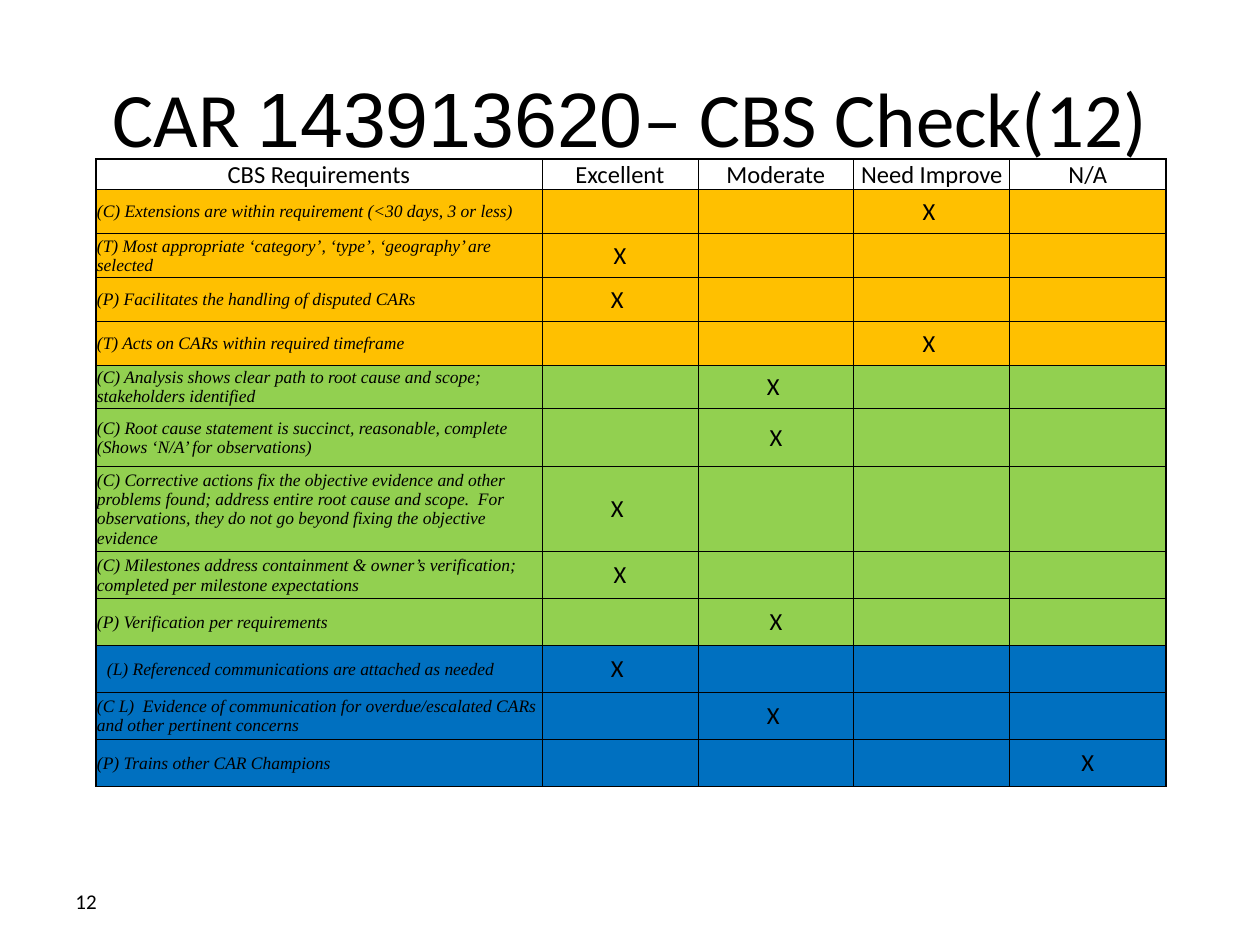
from dataclasses import dataclass

from lxml import etree
from pptx import Presentation
from pptx.dml.color import RGBColor
from pptx.enum import text
from pptx.oxml import ns
from pptx.util import Emu, Pt

EMU_PER_PX = 914400 / 126
BLACK = "000000"
AMBER, GREEN, BLUE = "FFC000", "92D050", "0070C0"
CENTER, LEFT = text.PP_ALIGN.CENTER, text.PP_ALIGN.LEFT
MIDDLE, BOTTOM = text.MSO_ANCHOR.MIDDLE, text.MSO_ANCHOR.BOTTOM
LABEL = {"size": Pt(14), "name": "Calibri", "italic": False}
REQUIREMENT = {"size": Pt(10), "name": "Times New Roman", "italic": True}

# Rating columns
EXCELLENT, MODERATE, IMPROVE, NOT_APPLICABLE = 1, 2, 3, 4
HEADERS = ["CBS Requirements", "Excellent", "Moderate", "Need Improve", "N/A"]
COLUMN_WIDTHS = [446] + [156] * 4
HEADER_HEIGHT = 26


@dataclass
class Check:
    requirement: str
    color: str
    height: int
    rating: int
    mark: str = "X "
    indent: int = 1


CHECKS = [
    Check("(C) Extensions are within requirement (<30 days, 3 or less)", AMBER, 44, IMPROVE),
    Check("(T) Most appropriate ‘category’, ‘type’, ‘geography’ are selected",
          AMBER, 44, EXCELLENT, "X"),
    Check("(P) Facilitates the handling of disputed CARs", AMBER, 44, EXCELLENT),
    Check("(T) Acts on CARs within required timeframe", AMBER, 44, IMPROVE),
    Check("(C) Analysis shows clear path to root cause and scope; stakeholders identified",
          GREEN, 42, MODERATE),
    Check("(C) Root cause statement is succinct, reasonable, complete "
          "(Shows ‘N/A’ for observations)", GREEN, 58, MODERATE, "X"),
    Check("(C) Corrective actions fix the objective evidence and other problems found; "
          "address entire root cause and scope.  For observations, they do not go beyond "
          "fixing the objective evidence", GREEN, 63, EXCELLENT),
    Check("(C) Milestones address containment & owner’s verification; "
          "completed per milestone expectations", GREEN, 47, EXCELLENT, "X"),
    Check("(P) Verification per requirements", GREEN, 47, MODERATE, " X "),
    Check("(L) Referenced communications are attached as needed", BLUE, 47, EXCELLENT, indent=11),
    Check("(C L)  Evidence of communication for overdue/escalated CARs "
          "and other pertinent concerns", BLUE, 47, MODERATE),
    Check("(P) Trains other CAR Champions", BLUE, 47, NOT_APPLICABLE, "X"),
]


def px(length: int) -> Emu:
    return Emu(round(length * EMU_PER_PX))


def rgb(color: str) -> RGBColor:
    return RGBColor.from_string(color)


def add_span(para, words: str, style: dict) -> None:
    span = para.add_run()
    span.text = words
    for name, value in style.items():
        setattr(span.font, name, value)
    span.font.color.rgb = rgb(BLACK)


def add_text(page, bounds: tuple, align, spans: list) -> None:
    box = page.shapes.add_textbox(*map(px, bounds))
    frame = box.text_frame
    frame.word_wrap = True
    frame.vertical_anchor = MIDDLE
    para = frame.paragraphs[0]
    para.alignment = align
    for words, style in spans:
        add_span(para, words, style)


def set_borders(cell, widths: dict) -> None:
    properties = cell._tc.get_or_add_tcPr()
    for side, width in widths.items():
        line = etree.SubElement(properties, ns.qn(f"a:ln{side}"), w=str(Pt(width)))
        fill = etree.SubElement(line, ns.qn("a:solidFill"))
        etree.SubElement(fill, ns.qn("a:srgbClr"), val=BLACK)


def format_cell(table, row: int, column: int, color: str | None, indent: int = 1) -> None:
    cell = table.cell(row, column)
    layout = {"margin_left": px(indent), "margin_top": px(1), "margin_right": px(1),
              "margin_bottom": 0, "vertical_anchor": MIDDLE if row else BOTTOM}
    for name, value in layout.items():
        setattr(cell, name, value)
    # Heavier lines run round the outside of the table
    outer = {"L": column == 0, "R": column == len(HEADERS) - 1,
             "T": row == 0, "B": row == len(CHECKS)}
    set_borders(cell, {side: 1 if edge else 0.5 for side, edge in outer.items()})
    if color:
        cell.fill.solid()
        cell.fill.fore_color.rgb = rgb(color)
    else:
        cell.fill.background()


def write_cell(cell, words: str, style: dict, align) -> None:
    para = cell.text_frame.paragraphs[0]
    para.alignment = align
    add_span(para, words, style)


def add_checklist(page) -> None:
    heights = [HEADER_HEIGHT] + [check.height for check in CHECKS]
    bounds = (96, 159, sum(COLUMN_WIDTHS), sum(heights))
    table = page.shapes.add_table(len(heights), len(HEADERS), *map(px, bounds)).table
    table.first_row = table.horz_banding = False
    for column, width in zip(table.columns, COLUMN_WIDTHS):
        column.width = px(width)
    for row, height in zip(table.rows, heights):
        row.height = px(height)

    # Header row
    for column, header in enumerate(HEADERS):
        format_cell(table, 0, column, None)
        write_cell(table.cell(0, column), header, LABEL, CENTER)

    # One row for each requirement, with a mark under its rating
    for row, check in enumerate(CHECKS, start=1):
        for column in range(len(HEADERS)):
            format_cell(table, row, column, check.color, 1 if column else check.indent)
        write_cell(table.cell(row, 0), check.requirement, REQUIREMENT, LEFT)
        write_cell(table.cell(row, check.rating), check.mark, LABEL, CENTER)


def main() -> None:
    deck = Presentation()
    deck.slide_width, deck.slide_height = px(1260), px(945)
    page = deck.slides.add_slide(deck.slide_layouts[6])

    # Title
    title = {"size": Pt(44), "name": "Calibri"}
    add_text(page, (63, 38, 1134, 158), CENTER, [
        ("CAR ", title),
        ("143913620", {**title, "name": "Arial"}),
        ("– CBS Check(12)", title),
    ])

    # Page number
    add_text(page, (63, 876, 294, 50), LEFT, [("12", {"size": Pt(12), "name": "Calibri"})])

    add_checklist(page)
    deck.save("out.pptx")


if __name__ == "__main__":
    main()
